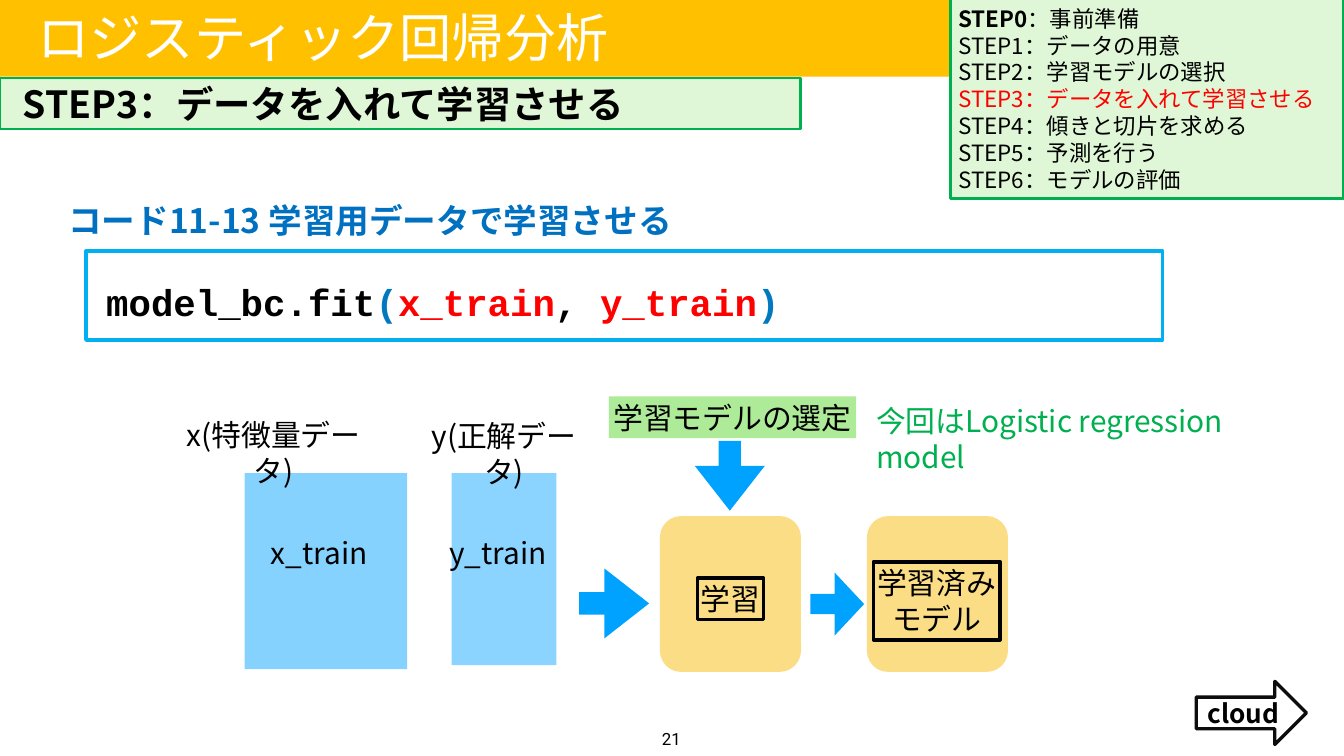
"""Build the slide on fitting a logistic regression model."""
from lxml.etree import SubElement
from pptx import Presentation
from pptx.dml.color import RGBColor
from pptx.enum.shapes import MSO_SHAPE
from pptx.enum.text import MSO_ANCHOR, MSO_AUTO_SIZE, PP_ALIGN
from pptx.oxml.ns import qn
from pptx.util import Inches, Pt

HEX = {
    "black": "000000", "white": "FFFFFF", "ink": "0D0D0D", "gold": "FFC000",
    "mint": "DFF7D7", "green": "00B050", "red": "FF0000", "sky": "00B0F0",
    "blue": "00A2FF", "paren": "0079BF", "head": "0070C0",
    "amber": "F7BA01", "lime": "61D836",
}
SANS = "Noto Sans CJK JP"
RECT, ROUND, ARROW = MSO_SHAPE.RECTANGLE, MSO_SHAPE.ROUNDED_RECTANGLE, MSO_SHAPE.RIGHT_ARROW

TITLE = "ロジスティック回帰分析"
STEPS = ["事前準備", "データの用意", "学習モデルの選択", "データを入れて学習させる",
         "傾きと切片を求める", "予測を行う", "モデルの評価"]
NOW = 3
HEAD = "コード11-13 学習用データで学習させる"
CODE = [("model_bc.fit", "black"), ("(", "paren"), ("x_train", "red"),
        (", ", "black"), ("y_train", "red"), (")", "paren")]
DATA = [((1.82, 3.52, 1.21, 1.46), 48), ((3.36, 3.52, 0.78, 1.43), 46)]
LABELS = [
    ("x(特徴量データ)", (1.34, 3.21, 1.71, 0.31), 0.34),
    ("y(正解データ)", (3.16, 3.22, 1.49, 0.31), 0.33),
    ("x_train", (1.99, 3.96, 0.86, 0.31), 0.11),
    ("y_train", (3.32, 3.96, 0.86, 0.31), 0.11),
]
STAGES = [
    (4.91, ["学習"], (5.19, 4.3, 0.49, 0.31)),
    (6.45, ["学習済み", "モデル"], (6.5, 4.18, 0.94, 0.58)),
]
ARROWS = [
    ((4.31, 4.23, 0.52, 0.52), 0, (0.32, 0.64)),
    ((5.17, 3.28, 0.52, 0.52), 90, (0.32, 0.64)),
    ((6.03, 4.26, 0.4, 0.47), 0, (0.32, 0.55)),
]

deck = Presentation()
deck.slide_width = Inches(10)
deck.slide_height = deck.slide_width * 9 // 16
slide = deck.slides.add_slide(deck.slide_layouts[6])


def rgb(name):
    return RGBColor.from_string(HEX[name])


def draw(kind, box, fill=None, alpha=100, line=None, width=0, adj=()):
    shape = slide.shapes.add_shape(kind, *map(Inches, box))
    shape.shadow.inherit = False
    for i, value in enumerate(adj):
        shape.adjustments[i] = value
    if fill:
        shape.fill.solid()
        shape.fill.fore_color.rgb = rgb(fill)
        if alpha < 100:
            tint = shape.fill._xPr.find(qn("a:solidFill"))[0]
            SubElement(tint, qn("a:alpha"), val=str(alpha * 1000))
    else:
        shape.fill.background()
    if line:
        shape.line.color.rgb = rgb(line)
        shape.line.width = Pt(width)
    else:
        shape.line.fill.background()
    return shape


def label(box):
    return slide.shapes.add_textbox(*map(Inches, box))


def write(shape, paras, size, color="black", bold=None, face=SANS, pad=(0.02,) * 4,
          mid=True, align=PP_ALIGN.LEFT, wrap=True, indent=(0, 0), space=None):
    frame = shape.text_frame
    frame.word_wrap = wrap
    frame.auto_size = MSO_AUTO_SIZE.SHAPE_TO_FIT_TEXT
    frame.vertical_anchor = MSO_ANCHOR.MIDDLE if mid else MSO_ANCHOR.TOP
    (frame.margin_left, frame.margin_top,
     frame.margin_right, frame.margin_bottom) = map(Inches, pad)
    for i, text in enumerate(paras):
        para = frame.add_paragraph() if i else frame.paragraphs[0]
        para.alignment = align
        if space:
            para.line_spacing = space
        props = para._p.get_or_add_pPr()
        props.set("marL", str(Inches(indent[0])))
        props.set("indent", str(Inches(indent[1])))
        font = para.font
        font.name, font.size, font.bold = face, Pt(size), bold
        font.color.rgb = rgb(color)
        SubElement(props.find(qn("a:defRPr")), qn("a:ea"), typeface=face)
        for part, tone in [(text, None)] if isinstance(text, str) else text:
            run = para.add_run()
            run.text = part
            if tone:
                run.font.color.rgb = rgb(tone)
    return frame.paragraphs


def center(shape, paras, right=0.02):
    write(shape, paras, 16, pad=(0.02, 0.02, right, 0.02),
          align=PP_ALIGN.CENTER, wrap=False)


draw(RECT, (0, -0.01, 10, 0.58), "gold")
write(label((0.26, 0.02, 4.36, 0.51)), [TITLE], 28, "white", wrap=False)

steps = [[(f"STEP{i}", None), (f"：{name}", None)] for i, name in enumerate(STEPS)]
panel = draw(RECT, (7.07, -0.01, 2.93, 1.49), "mint", line="green", width=1.5)
rows = write(panel, steps, 12, pad=(0.01, 0.04, 0.04, 0.04), indent=(0.1, -0.05))
rows[0].runs[0].font.bold = True
rows[NOW].font.color.rgb = rgb("red")
banner = draw(RECT, (0, 0.58, 5.96, 0.38), "mint", line="green", width=1.5)
write(banner, [steps[NOW]], 20, bold=True, indent=(0.15, 0))

write(label((0.26, 1.29, 8.47, 0.52)), [HEAD], 18, "head", True,
      pad=(0.1, 0.05, 0.1, 0.05), mid=False, indent=(0.15, 0), space=1.5)
code = draw(RECT, (0.64, 1.87, 8.01, 0.66), line="sky", width=2)
write(code, [CODE], 20, bold=True, face="Courier New", pad=(0, 0.04, 0, 0.12),
      indent=(0.15, 0), space=1.5)

for box, alpha in DATA:
    draw(RECT, box, "blue", alpha)
for text, box, right in LABELS:
    center(label(box), [text], right)
for left, lines, box in STAGES:
    draw(ROUND, (left, 3.84, 1.05, 1.16), "amber", 48, adj=(0.15,))
    center(draw(RECT, box, line="black", width=2), lines)
center(draw(RECT, (4.53, 2.95, 1.84, 0.31), "lime", 51), ["学習モデルの選定"])
for box, turn, adj in ARROWS:
    draw(ARROW, box, "blue", adj=adj).rotation = turn
write(label((6.5, 2.97, 2.66, 0.58)), ["今回はLogistic regression model"], 16, "green")

write(label((4.87, 5.36, 0.25, 0.26)), ["21"], 9, face="Roboto",
      pad=(0.04, 0.06, 0.04, 0.06), mid=False, align=PP_ALIGN.CENTER, wrap=False)
link = draw(ARROW, (8.9, 5.07, 0.82, 0.47), line="ink", width=1.75)
write(link, ["cloud"], 14, bold=True, pad=(0,) * 4, align=PP_ALIGN.CENTER)

deck.save("out.pptx")
